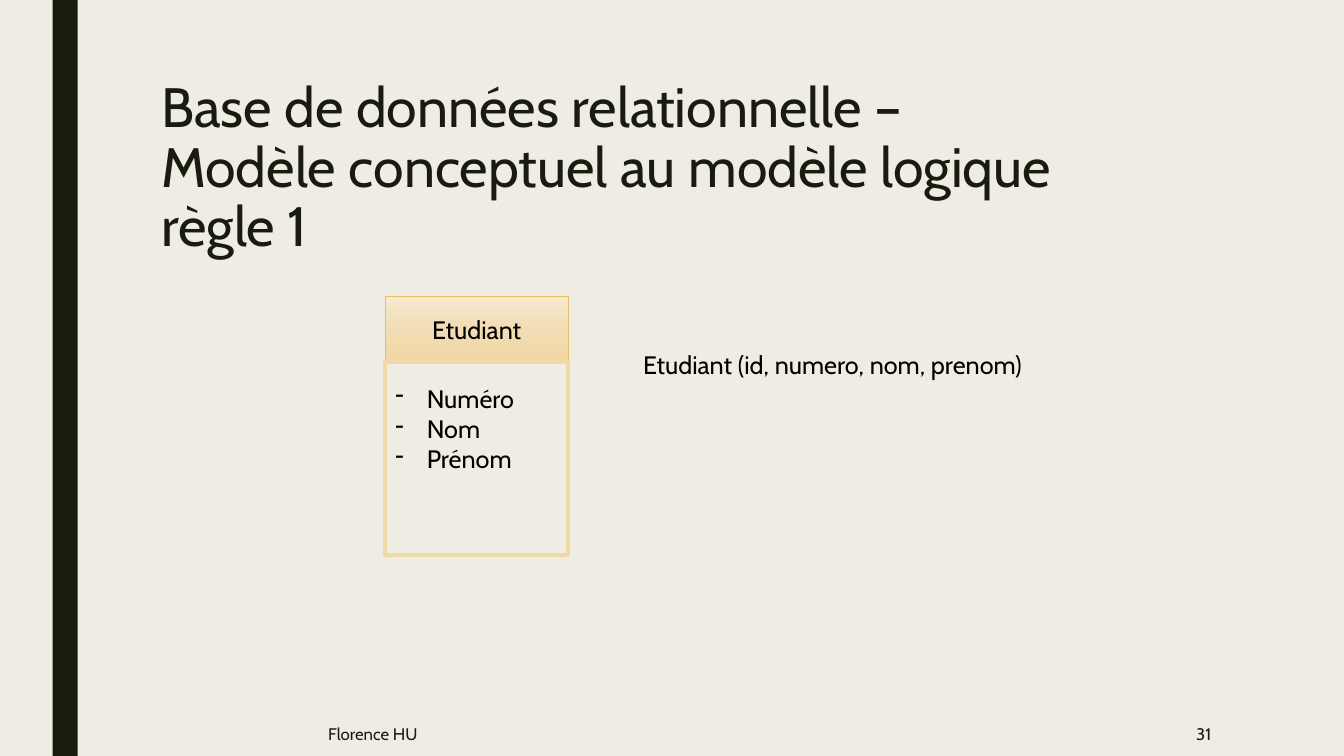
from copy import deepcopy

from pptx import Presentation
from pptx.dml.color import RGBColor as RGB
from pptx.enum.shapes import MSO_SHAPE as SHAPE
from pptx.enum.text import MSO_ANCHOR as ANCHOR, PP_ALIGN as ALIGN
from pptx.oxml.ns import qn
from pptx.util import Emu, Pt

PX = 9525  # EMU per px, 96 px to the inch
FONT = "Cabin"
COLORS = {
    "paper": "EFEDE3",
    "ink": "191B0E",
    "black": "000000",
    "header_line": "E6C069",
    "body_line": "F0D9A5",
    "header_top": "F7E9D0",
    "header_mid": "F1DCB4",
    "header_end": "F1D7A3",
}


def color(name):
    return RGB.from_string(COLORS[name])


def px(*lengths):
    return [Emu(n * PX) for n in lengths]


def add_rect(slide, box, fill=None, line=None, width=0):
    sp = slide.shapes.add_shape(SHAPE.RECTANGLE, *px(*box))
    sp.shadow.inherit = False
    if fill:
        sp.fill.solid()
        sp.fill.fore_color.rgb = color(fill)
    else:
        sp.fill.background()
    if line:
        sp.line.color.rgb = color(line)
        sp.line.width = Pt(width)
    else:
        sp.line.fill.background()
    return sp


def set_gradient(sp, names):
    """Fill from top to bottom with evenly spaced stops."""
    sp.fill.gradient()
    sp.fill.gradient_angle = 270
    stop_list = sp._element.spPr.find(qn("a:gradFill")).find(qn("a:gsLst"))
    for _ in names[2:]:
        stop_list.insert(1, deepcopy(stop_list[0]))
    for i, (stop, name) in enumerate(zip(sp.fill.gradient_stops, names)):
        stop.color.rgb = color(name)
        stop.position = i / (len(names) - 1)


def set_bullet(p, char, indent):
    pPr = p._p.get_or_add_pPr()
    pPr.set("marL", str(indent * PX))
    pPr.set("indent", str(-indent * PX))
    pPr.makeelement(qn("a:buChar"), {"char": char})
    bullet = pPr.makeelement(qn("a:buChar"), {"char": char})
    pPr.append(bullet)


def write(sp, text, size=18, ink="black", align=ALIGN.LEFT,
          anchor=ANCHOR.TOP, spacing=None, bullet=None):
    tf = sp.text_frame
    tf.word_wrap = True
    tf.vertical_anchor = anchor
    tf.text = text
    for p in tf.paragraphs:
        p.alignment = align
        if spacing:
            p.line_spacing = spacing
        if bullet:
            set_bullet(p, bullet, 30)
        for r in p.runs:
            r.font.name = FONT
            r.font.size = Pt(size)
            r.font.color.rgb = color(ink)


def add_text(slide, box, text, **style):
    write(slide.shapes.add_textbox(*px(*box)), text, **style)


def add_entity(slide, left, top, width, name, attributes):
    header_h, body_h = 63, 184
    header = add_rect(slide, (left, top, width, header_h),
                      line="header_line", width=0.5)
    set_gradient(header, ["header_top", "header_mid", "header_end"])
    write(header, name, align=ALIGN.CENTER, anchor=ANCHOR.MIDDLE)
    body_top = top + header_h
    add_rect(slide, (left, body_top, width, body_h),
             line="body_line", width=2.75)
    add_text(slide, (left, body_top + 15, width - 14, 97),
             "\n".join(attributes), bullet="-")


def main():
    prs = Presentation()
    prs.slide_width, prs.slide_height = px(1280, 720)
    s = prs.slides.add_slide(prs.slide_layouts[6])
    s.background.fill.solid()
    s.background.fill.fore_color.rgb = color("paper")

    # Side band and title
    add_rect(s, (50, 0, 24, 720), fill="ink")
    add_text(s, (144, 72, 1008, 156),
             "Base de données relationnelle –\v"
             "Modèle conceptuel au modèle logique\vrègle 1",
             size=39.6, ink="ink", spacing=0.89)

    # Entity and its relational schema
    add_entity(s, 367, 282, 174, "Etudiant", ["Numéro", "Nom", "Prénom"])
    add_text(s, (603, 328, 478, 38), "Etudiant (id, numero, nom, prenom)")

    # Footer
    footer = dict(size=12, ink="ink", anchor=ANCHOR.MIDDLE)
    add_text(s, (303, 678, 660, 42), "Florence HU", **footer)
    add_text(s, (995, 678, 168, 42), "31", align=ALIGN.RIGHT, **footer)

    prs.save("out.pptx")


if __name__ == "__main__":
    main()
